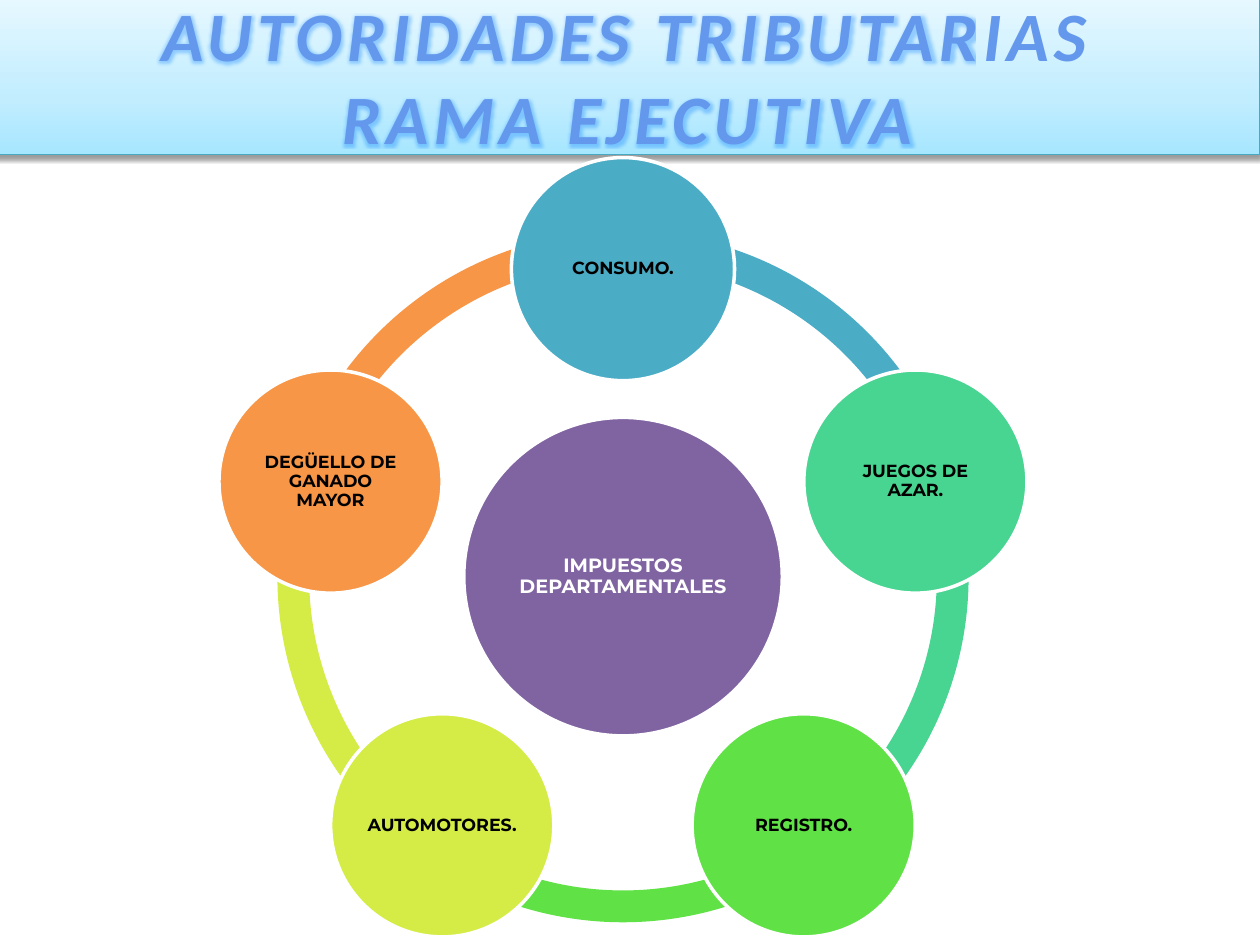
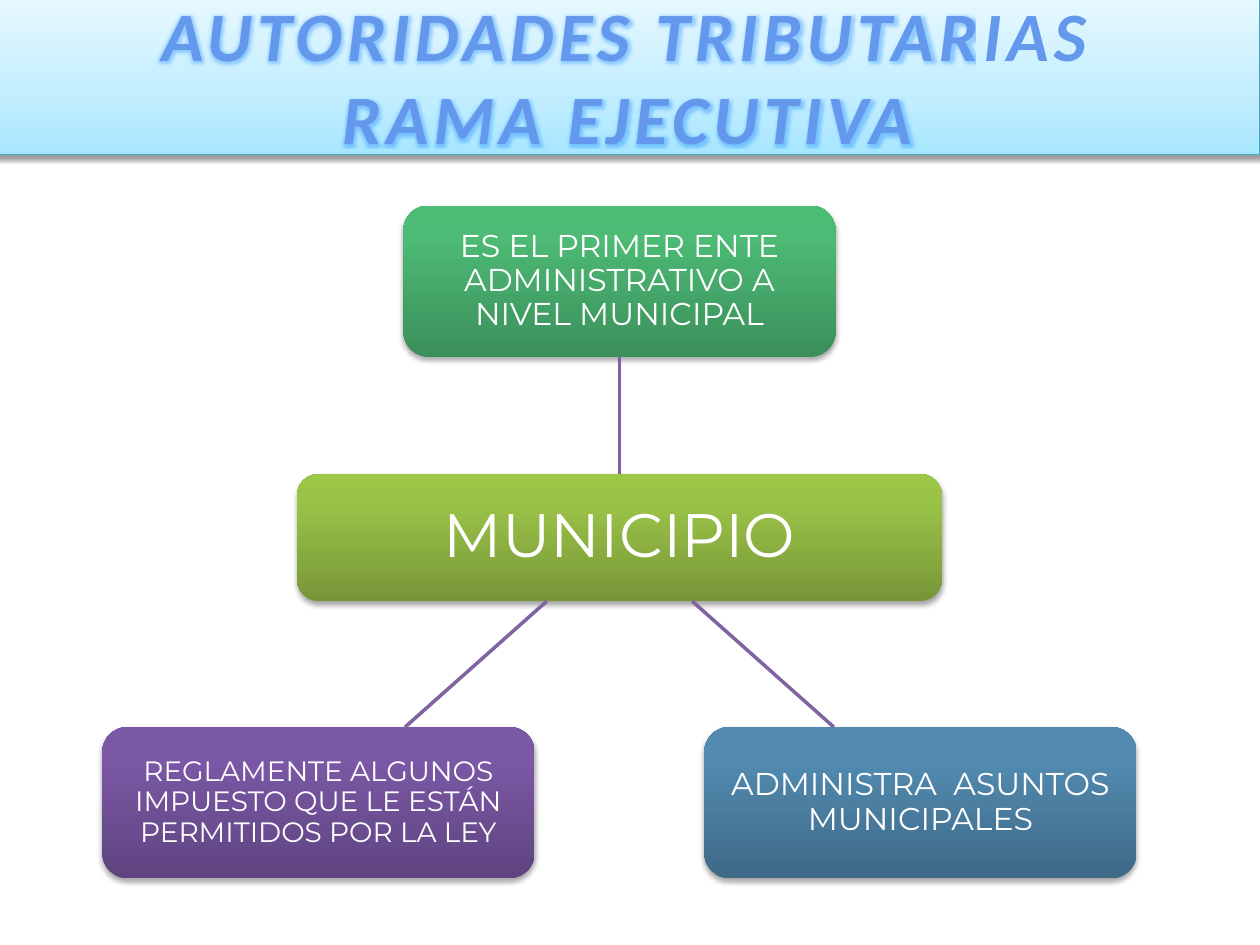
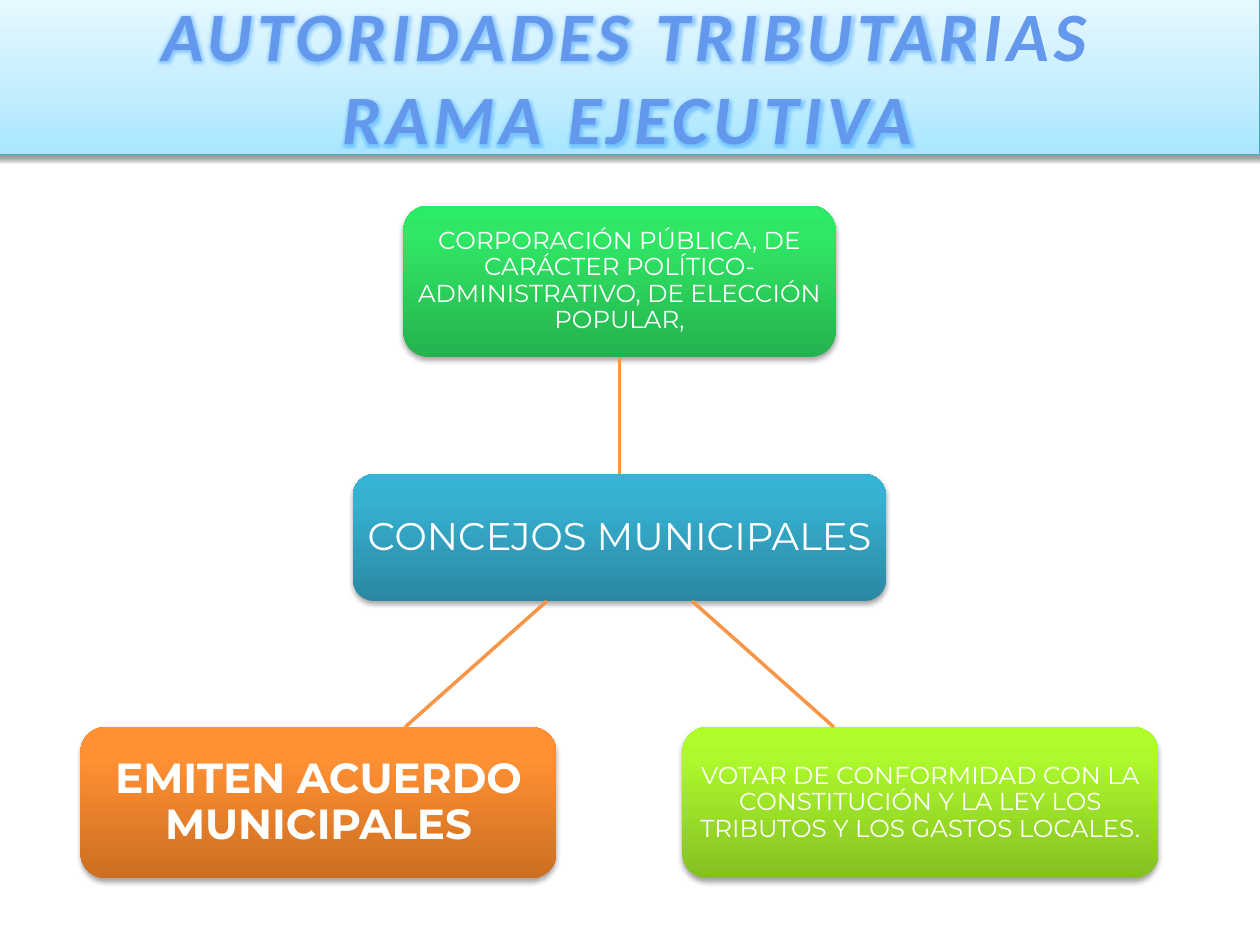
from copy import deepcopy
from dataclasses import dataclass
from math import cos, radians, sin

from lxml import etree
from pptx import Presentation
from pptx.dml.color import RGBColor
from pptx.dml.fill import FillFormat
from pptx.enum.shapes import MSO_CONNECTOR, MSO_SHAPE
from pptx.enum.text import MSO_ANCHOR, MSO_AUTO_SIZE, PP_ALIGN
from pptx.oxml.ns import qn
from pptx.shapes.autoshape import Shape
from pptx.shapes.connector import Connector
from pptx.slide import Slide
from pptx.util import Pt

Stops = tuple[tuple[float, str], ...]


@dataclass(frozen=True)
class Theme:
    title_font: str = "Calibri"
    body_font: str = "Montserrat"
    title_size: float = 39.6
    hub_size: float = 11
    node_size: float = 10
    title_spacing: float = 3
    line_width: float = 2
    white: str = "FFFFFF"
    black: str = "000000"
    purple: str = "8064A2"
    orange: str = "F79646"
    blue: str = "4BACC6"
    mint: str = "48D491"
    green: str = "60E146"
    lime: str = "D5EC46"
    band_line: str = "46AAC5"
    title_outline: str = "F4F6F9"
    title_glow: str = "0D80FF"
    band_stops: Stops = ((0, "A7E6FF"), (0.35, "C1EDFF"), (1, "E7F8FF"))
    title_stops: Stops = ((0.1, "6398ED"), (0.75, "265EA0"))


THEME = Theme()


@dataclass(frozen=True)
class Tax:
    label: str
    color: str


@dataclass(frozen=True)
class Box:
    label: str
    center_x: float
    top: float
    width: float
    height: float
    shades: tuple[str, str, str]
    size: float
    inset: float
    bold: bool = False


@dataclass(frozen=True)
class Authority:
    line_color: str
    center: Box
    upper: Box
    lower: tuple[Box, Box]


TITLE = "AUTORIDADES TRIBUTARIAS\vRAMA EJECUTIVA"

TAXES = (
    Tax("CONSUMO.", THEME.blue),
    Tax("JUEGOS DE AZAR.", THEME.mint),
    Tax("REGISTRO.", THEME.green),
    Tax("AUTOMOTORES.", THEME.lime),
    Tax("DEGÜELLO DE GANADO MAYOR", THEME.orange),
)
RING_X, RING_Y = 356, 329.5
RING_DIAMETER = 395
ORBIT = 175.7
NODE_DIAMETER = 127.5
HUB_DIAMETER = 182

AXIS_X = 354
LEFT_X, RIGHT_X = AXIS_X - 172, AXIS_X + 172
UPPER_Y, CENTER_Y, LOWER_Y = 117.5, 271, 415.5
CENTER_H, SIDE_H = 72.5, 86.5
BRANCH_START, BRANCH_END = 41.5, 122.5

AUTHORITIES = (
    Authority(
        THEME.purple,
        Box("MUNICIPIO", AXIS_X, CENTER_Y, 368.5, CENTER_H,
            ("779737", "9BC348", "9DC746"), 35, 7),
        Box("ES EL PRIMER ENTE ADMINISTRATIVO A NIVEL MUNICIPAL",
            AXIS_X, UPPER_Y, 247, SIDE_H, ("3B8F5A", "4DBA75", "4BBD75"), 18, 3.6),
        (
            Box("REGLAMENTE ALGUNOS IMPUESTO QUE LE ESTÁN PERMITIDOS POR LA LEY",
                LEFT_X, LOWER_Y, 247, SIDE_H, ("5F4480", "7B58A6", "7C57A8"), 16, 3.2),
            Box("ADMINISTRA  ASUNTOS MUNICIPALES",
                RIGHT_X, LOWER_Y, 247, SIDE_H, ("3F6A88", "528AB0", "518BB3"), 18, 3.6),
        ),
    ),
    Authority(
        THEME.orange,
        Box("CONCEJOS MUNICIPALES", AXIS_X, CENTER_Y, 304.5, CENTER_H,
            ("2A88A2", "37B1D2", "34B4D6"), 22, 4.4),
        Box("CORPORACIÓN PÚBLICA, DE CARÁCTER POLÍTICO-ADMINISTRATIVO, "
            "DE ELECCIÓN POPULAR,",
            AXIS_X, UPPER_Y, 247, SIDE_H, ("25B24E", "30E765", "2DEB64"), 14, 2.8),
        (
            Box("EMITEN ACUERDO MUNICIPALES", LEFT_X, LOWER_Y, 272, SIDE_H,
                ("CC6E20", "FF9034", "FF9136"), 24, 4.8, bold=True),
            Box("VOTAR DE CONFORMIDAD CON LA CONSTITUCIÓN Y LA LEY LOS TRIBUTOS "
                "Y LOS GASTOS LOCALES.",
                RIGHT_X, LOWER_Y, 272, SIDE_H, ("85C022", "ADF92C", "AFFE28"), 14, 2.8),
        ),
    ),
)


def rgb(color: str) -> RGBColor:
    return RGBColor.from_string(color)


def add_color(parent: etree._Element, color: str, alpha: int = 100) -> None:
    value = etree.SubElement(parent, qn("a:srgbClr"), val=color)
    if alpha < 100:
        etree.SubElement(value, qn("a:alpha"), val=str(alpha * 1000))


def set_gradient(fill: FillFormat, owner: etree._Element, stops: Stops, angle: float) -> None:
    """Fill with any number of stops; owner is the element that holds the fill."""
    fill.gradient()
    fill.gradient_angle = angle
    stop_list = owner.find(qn("a:gradFill")).find(qn("a:gsLst"))
    while len(stop_list) < len(stops):
        stop_list.append(deepcopy(stop_list[0]))
    for stop, (position, color) in zip(fill.gradient_stops, stops):
        stop.position = position
        stop.color.rgb = rgb(color)


def set_shadow(shape: Shape, distance: float, alpha: int) -> None:
    shape.shadow.inherit = False
    effects = shape.element.spPr.find(qn("a:effectLst"))
    shadow = etree.SubElement(
        effects, qn("a:outerShdw"), blurRad=str(Pt(3.1)), dist=str(Pt(distance)),
        dir="5400000", rotWithShape="0")
    add_color(shadow, THEME.black, alpha)


def set_label(shape: Shape, text: str, size: float, color: str, inset: float, bold: bool) -> None:
    frame = shape.text_frame
    frame.text = text
    frame.word_wrap = True
    frame.vertical_anchor = MSO_ANCHOR.MIDDLE
    frame.margin_left = frame.margin_right = Pt(inset)
    frame.margin_top = frame.margin_bottom = Pt(inset)
    paragraph = frame.paragraphs[0]
    paragraph.alignment = PP_ALIGN.CENTER
    paragraph.line_spacing = 0.9
    font = paragraph.runs[0].font
    font.name, font.size, font.bold = THEME.body_font, Pt(size), bold
    font.color.rgb = rgb(color)


def add_titled_slide(deck: Presentation) -> Slide:
    slide = deck.slides.add_slide(deck.slide_layouts[0])
    subtitle = slide.placeholders[1].element
    subtitle.getparent().remove(subtitle)

    title = slide.shapes.title
    title.left, title.top, title.width, title.height = Pt(-3), Pt(-2), Pt(723), Pt(90.5)
    set_gradient(title.fill, title.element.spPr, THEME.band_stops, 90)
    title.line.color.rgb = rgb(THEME.band_line)
    title.line.width = Pt(0.75)
    set_shadow(title, 1.6, 38)

    frame = title.text_frame
    frame.text = TITLE
    frame.word_wrap = True
    frame.auto_size = MSO_AUTO_SIZE.NONE
    frame.vertical_anchor = MSO_ANCHOR.MIDDLE
    paragraph = frame.paragraphs[0]
    paragraph.alignment = PP_ALIGN.CENTER
    for run in paragraph.runs:
        font = run.font
        font.name, font.size = THEME.title_font, Pt(THEME.title_size)
        font.bold = font.italic = True
        properties = run._r.get_or_add_rPr()
        properties.set("spc", str(int(THEME.title_spacing * 100)))
        set_gradient(font.fill, properties, THEME.title_stops, 270)
        outline = etree.Element(qn("a:ln"), w=str(Pt(0.9)))
        add_color(etree.SubElement(outline, qn("a:solidFill")), THEME.title_outline)
        properties.insert(0, outline)
        effects = etree.Element(qn("a:effectLst"))
        add_color(etree.SubElement(effects, qn("a:glow"), rad=str(Pt(3.6))),
                  THEME.title_glow, 35)
        properties.find(qn("a:gradFill")).addnext(effects)
    return slide


def add_round(slide: Slide, kind: MSO_SHAPE, x: float, y: float, diameter: float,
              color: str) -> Shape:
    """Add a flat shape centred on x, y."""
    shape = slide.shapes.add_shape(
        kind, Pt(x - diameter / 2), Pt(y - diameter / 2), Pt(diameter), Pt(diameter))
    shape.fill.solid()
    shape.fill.fore_color.rgb = rgb(color)
    shape.line.fill.background()
    shape.shadow.inherit = False
    return shape


def add_circle(slide: Slide, x: float, y: float, diameter: float, color: str,
               label: str, size: float, text_color: str) -> None:
    circle = add_round(slide, MSO_SHAPE.OVAL, x, y, diameter, color)
    circle.line.color.rgb = rgb(THEME.white)
    circle.line.width = Pt(THEME.line_width)
    set_label(circle, label, size, text_color, 1, True)


def add_tax_ring(slide: Slide) -> None:
    step = 360 / len(TAXES)
    angles = [(270 + step * index) % 360 for index in range(len(TAXES))]
    for tax, angle in zip(TAXES, angles):
        arc = add_round(slide, MSO_SHAPE.BLOCK_ARC, RING_X, RING_Y, RING_DIAMETER, tax.color)
        for index, degrees in enumerate((angle, (angle + step) % 360)):
            arc.adjustments[index] = degrees * 0.6
        arc.adjustments[2] = 0.046
    add_circle(slide, RING_X, RING_Y, HUB_DIAMETER, THEME.purple,
               "IMPUESTOS DEPARTAMENTALES", THEME.hub_size, THEME.white)
    for tax, angle in zip(TAXES, angles):
        add_circle(slide, RING_X + ORBIT * cos(radians(angle)),
                   RING_Y + ORBIT * sin(radians(angle)), NODE_DIAMETER, tax.color,
                   tax.label, THEME.node_size, THEME.black)


def add_box(slide: Slide, box: Box) -> Shape:
    shape = slide.shapes.add_shape(
        MSO_SHAPE.ROUNDED_RECTANGLE, Pt(box.center_x - box.width / 2), Pt(box.top),
        Pt(box.width), Pt(box.height))
    set_gradient(shape.fill, shape.element.spPr, tuple(zip((0, 0.8, 1), box.shades)), 90)
    shape.line.fill.background()
    set_shadow(shape, 1.8, 35)
    set_label(shape, box.label, box.size, THEME.white, box.inset, box.bold)
    return shape


def add_line(slide: Slide, start: tuple[float, float], end: tuple[float, float],
             color: str) -> Connector:
    line = slide.shapes.add_connector(
        MSO_CONNECTOR.STRAIGHT, *(Pt(value) for value in start + end))
    line.line.color.rgb = rgb(color)
    line.line.width = Pt(THEME.line_width)
    etree.SubElement(line.element.spPr, qn("a:effectLst"))
    return line


def add_authority(slide: Slide, authority: Authority) -> None:
    center = add_box(slide, authority.center)
    upper = add_box(slide, authority.upper)
    trunk = add_line(slide, (AXIS_X, CENTER_Y), (AXIS_X, UPPER_Y + SIDE_H),
                     authority.line_color)
    trunk.begin_connect(center, 0)
    trunk.end_connect(upper, 2)
    for side, box in zip((-1, 1), authority.lower):
        add_box(slide, box)
        add_line(slide, (AXIS_X + side * BRANCH_START, CENTER_Y + CENTER_H),
                 (AXIS_X + side * BRANCH_END, LOWER_Y), authority.line_color)


def main() -> None:
    deck = Presentation()
    deck.slide_width, deck.slide_height = Pt(720), Pt(540)
    add_tax_ring(add_titled_slide(deck))
    for authority in AUTHORITIES:
        add_authority(add_titled_slide(deck), authority)
    deck.save("out.pptx")


if __name__ == "__main__":
    main()
